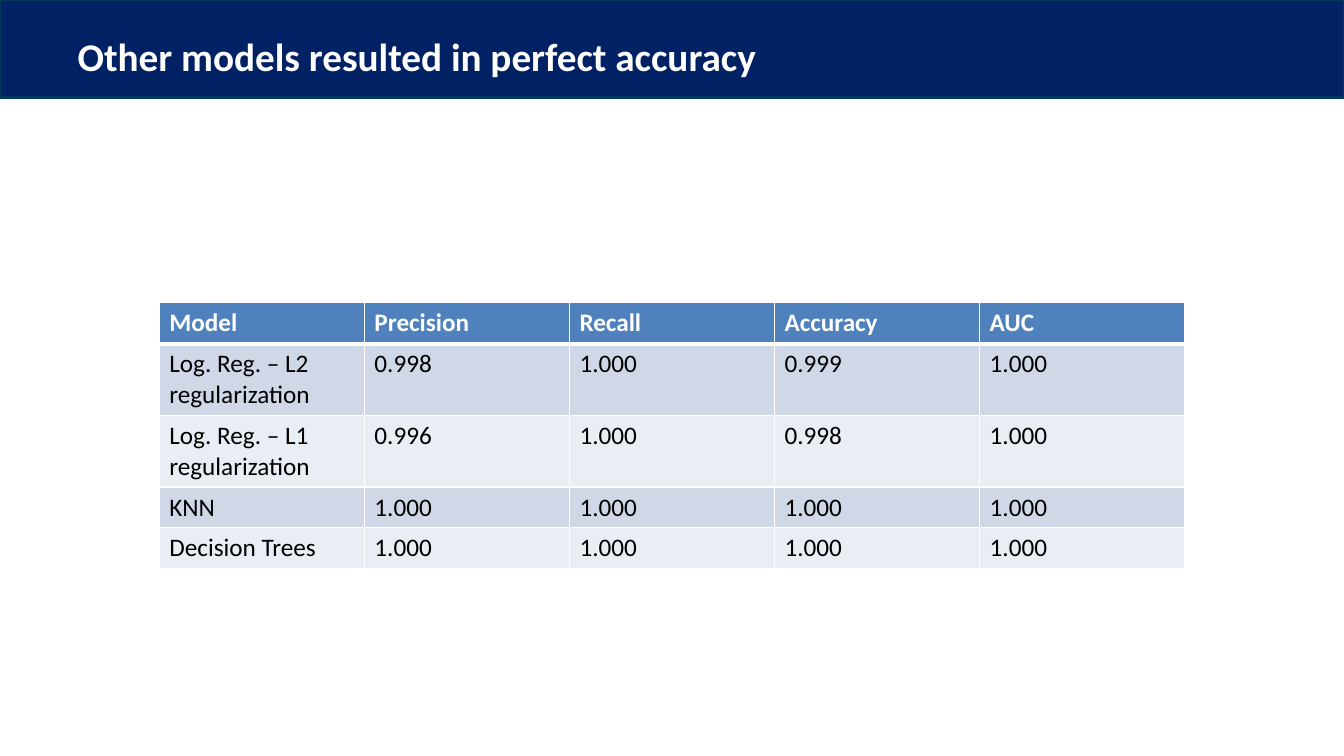
from lxml import etree
from pptx import Presentation
from pptx.dml.color import RGBColor
from pptx.enum.shapes import MSO_SHAPE
from pptx.enum.text import MSO_ANCHOR, PP_ALIGN
from pptx.oxml.ns import qn
from pptx.util import Inches, Pt

RECTANGLE = MSO_SHAPE.RECTANGLE
MIDDLE = MSO_ANCHOR.MIDDLE
LEFT = PP_ALIGN.LEFT
TITLE_ONLY = 5


def color(value):
    return RGBColor.from_string(value)


def add_run(paragraph, text, size, text_color, bold):
    paragraph.alignment = LEFT
    run = paragraph.add_run()
    run.text = text
    run.font.name = "Calibri"
    run.font.size = Pt(size)
    run.font.bold = bold
    run.font.color.rgb = color(text_color)


presentation = Presentation()
presentation.slide_width = Inches(13.33)
presentation.slide_height = Inches(7.5)
slide = presentation.slides.add_slide(presentation.slide_layouts[TITLE_ONLY])

banner = slide.shapes.add_shape(
    RECTANGLE, 0, 0, presentation.slide_width, Inches(0.97)
)
banner.shadow.inherit = False
banner.fill.solid()
banner.fill.fore_color.rgb = color("002164")
banner.line.color.rgb = color("00395A")
banner.line.width = Pt(2)

title = slide.shapes.title
title.left, title.top = Inches(0.67), Inches(0.13)
title.width, title.height = Inches(12), Inches(0.84)
title.text_frame.vertical_anchor = MIDDLE
add_run(
    title.text_frame.paragraphs[0],
    "Other models resulted in perfect accuracy", 28, "FFFFFF", True,
)
banner.element.getparent().remove(banner.element)
title.element.addprevious(banner.element)

results = [
    ["Model", "Precision", "Recall", "Accuracy", "AUC"],
    ["Log. Reg. – L2 regularization", "0.998", "1.000", "0.999", "1.000"],
    ["Log. Reg. – L1 regularization", "0.996", "1.000", "0.998", "1.000"],
    ["KNN", "1.000", "1.000", "1.000", "1.000"],
    ["Decision Trees", "1.000", "1.000", "1.000", "1.000"],
]
row_heights = [0.41, 0.71, 0.71, 0.4, 0.4]
row_fills = ["4F81BD", "D0D8E8", "E9EDF4", "D0D8E8", "E9EDF4"]

table = slide.shapes.add_table(
    len(results), len(results[0]),
    Inches(1.58), Inches(3), Inches(10.17), Inches(sum(row_heights)),
).table

for row_index, values in enumerate(results):
    is_header = row_index == 0
    table.rows[row_index].height = Inches(row_heights[row_index])
    for column_index, value in enumerate(values):
        cell = table.cell(row_index, column_index)
        add_run(
            cell.text_frame.paragraphs[0], value, 18,
            "FFFFFF" if is_header else "000000", is_header,
        )
        properties = cell._tc.get_or_add_tcPr()
        border_widths = {
            "a:lnL": 1,
            "a:lnR": 1,
            "a:lnT": 3 if row_index == 1 else 1,
            "a:lnB": 3 if is_header else 1,
        }
        for side, width in border_widths.items():
            border = etree.SubElement(properties, qn(side), w=str(Pt(width)))
            border_fill = etree.SubElement(border, qn("a:solidFill"))
            etree.SubElement(border_fill, qn("a:srgbClr"), val="FFFFFF")
        cell.fill.solid()
        cell.fill.fore_color.rgb = color(row_fills[row_index])

presentation.save("out.pptx")
